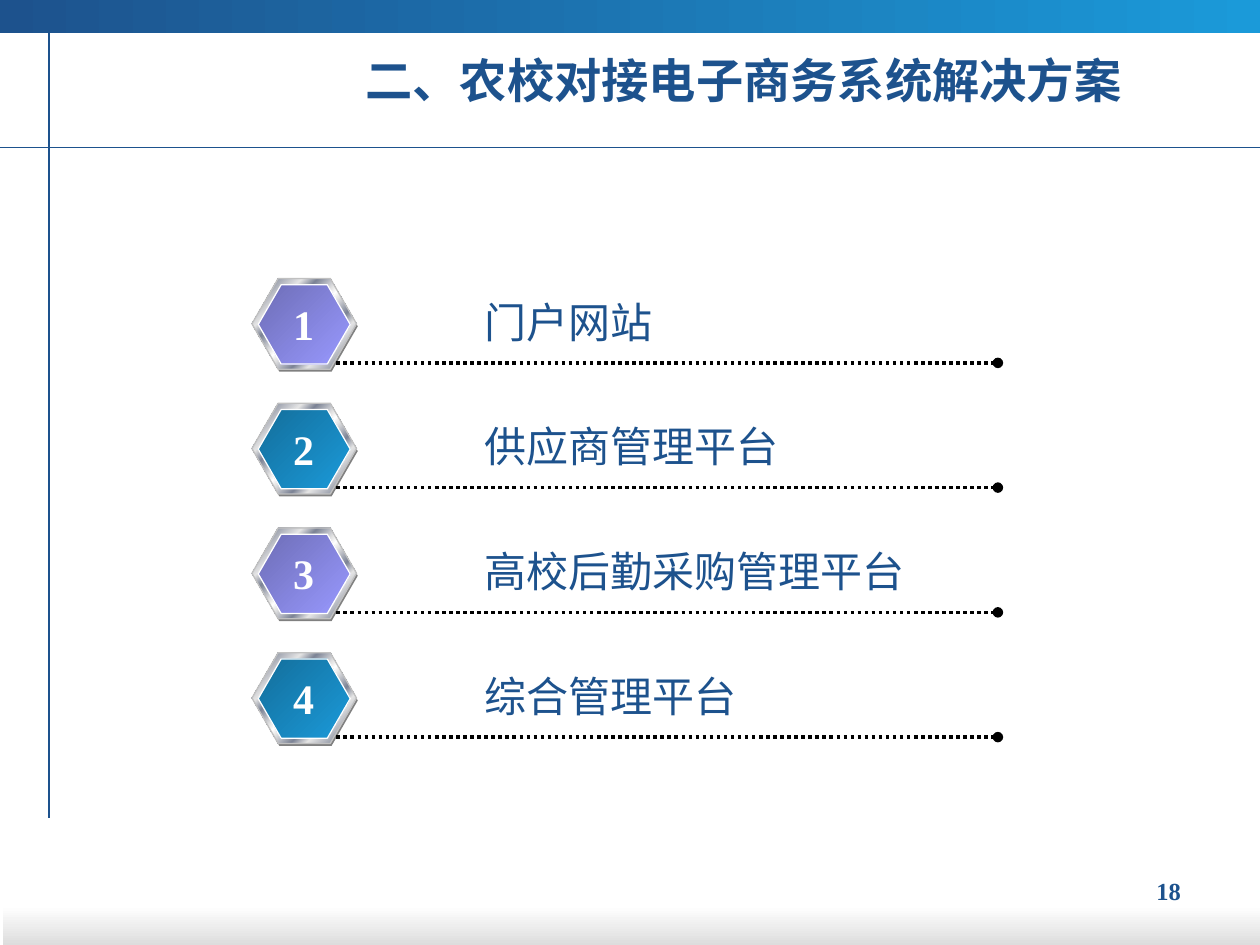
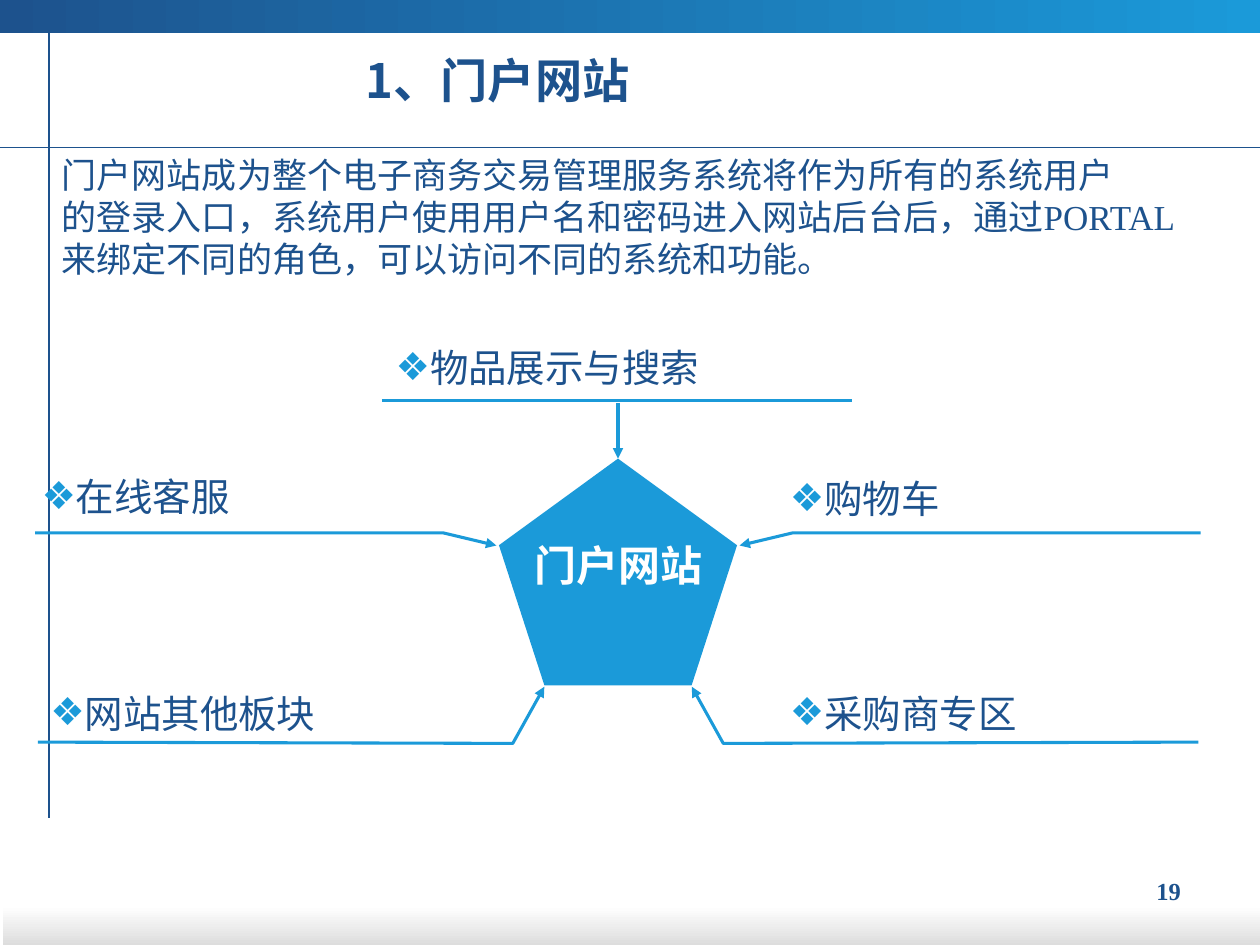
from lxml import etree
from pptx import Presentation
from pptx.dml.color import RGBColor
from pptx.enum.dml import MSO_LINE
from pptx.enum.shapes import MSO_CONNECTOR, MSO_SHAPE
from pptx.enum.text import MSO_ANCHOR, MSO_AUTO_SIZE, PP_ALIGN
from pptx.oxml.ns import qn
from pptx.util import Inches, Pt

COLORS = {
    "navy": "1D528D", "sky": "1B9AD9", "teal": "136E9B",
    "violet": "6D6DB6", "lilac": "9999FF", "white": "FFFFFF",
    "mist": "DDDDDD", "gray": "808080", "silver": "C0C0C0",
    "steel": "7D8496", "pearl": "E6E6E6", "black": "000000",
}
SERIF, SANS, CJK = "Times New Roman", "DejaVu Sans", "Noto Sans CJK SC"
FIRST_NUMBER = 18

# Metallic rim: the first half of the stops is mirrored around the middle
RIM_HALF = [(0, "pearl"), (8, "steel"), (26, "pearl"), (34, "steel"), (46, "pearl")]
RIM = RIM_HALF + [(50, "white")] + [(100 - pos, c) for pos, c in reversed(RIM_HALF)]

PLATFORMS = ["门户网站", "供应商管理平台", "高校后勤采购管理平台", "综合管理平台"]
ROW_TOP, ROW_PITCH = 2.21, 0.99

INTRO = [
    "门户网站成为整个电子商务交易管理服务系统将作为所有的系统用户",
    "的登录入口，系统用户使用用户名和密码进入网站后台后，通过PORTAL",
    "来绑定不同的角色，可以访问不同的系统和功能。",
]
FEATURES = [  # text, left, top, width
    ("物品展示与搜索", 3.14, 2.73, 3.5),
    ("在线客服", 0.33, 3.75, 3.5),
    ("购物车", 6.27, 3.77, 3.24),
    ("网站其他板块", 0.4, 5.47, 3.5),
    ("采购商专区", 6.27, 5.47, 3.24),
]
# Left-hand callouts, from the arrowhead outwards; the right side mirrors them
CALLOUTS = [
    [(3.94, 4.33), (3.52, 4.23), (0.28, 4.23)],
    [(4.32, 5.45), (4.07, 5.9), (0.3, 5.89)],
]
MIRROR_SUM = 9.81


def rgb(color):
    return RGBColor.from_string(COLORS[color])


def box(left, top, width, height):
    return [Inches(v) for v in (left, top, width, height)]


# Text
def style_paragraph(p, size, color, font=SERIF, bold=False, align=PP_ALIGN.LEFT):
    p.alignment = align
    for r in p.runs:
        r.font.size, r.font.bold, r.font.name = Pt(size), bold, font
        r.font.color.rgb = rgb(color)
        latin = r.font._element.find(qn("a:latin"))
        ea = etree.Element(qn("a:ea"), typeface=CJK)
        latin.addnext(ea)


def add_text(shapes, text, place, size, color, inset=True, wrap=False,
             anchor=MSO_ANCHOR.TOP, **style):
    s = shapes.add_textbox(*box(*place))
    tf = s.text_frame
    tf.text = text
    tf.word_wrap = wrap
    tf.vertical_anchor = anchor
    tf.auto_size = MSO_AUTO_SIZE.SHAPE_TO_FIT_TEXT
    if not inset:
        tf.margin_left = tf.margin_right = tf.margin_top = tf.margin_bottom = 0
    style_paragraph(tf.paragraphs[0], size, color, **style)
    return s


def add_bullet(p, char, color):
    pPr = p._p.get_or_add_pPr()
    pPr.set("marL", "0")
    pPr.set("indent", "0")
    bu_clr = etree.SubElement(pPr, qn("a:buClr"))
    etree.SubElement(bu_clr, qn("a:srgbClr"), val=COLORS[color])
    etree.SubElement(pPr, qn("a:buFont"), typeface=SANS)
    etree.SubElement(pPr, qn("a:buChar"), char=char)


# Shapes and lines
def set_gradient(s, stops, angle):
    s.fill.gradient()
    s.fill.gradient_angle = (360 - angle) % 360
    gs_lst = s.element.spPr.find(qn("a:gradFill")).find(qn("a:gsLst"))
    for gs in list(gs_lst):
        gs_lst.remove(gs)
    for pos, color in stops:
        gs = etree.SubElement(gs_lst, qn("a:gs"), pos=str(pos * 1000))
        etree.SubElement(gs, qn("a:srgbClr"), val=COLORS[color])


def add_shape(shapes, kind, place, fill, line=None, angle=0):
    """Fill is a colour name or a list of gradient stops."""
    s = shapes.add_shape(kind, *box(*place))
    s.shadow.inherit = False
    if isinstance(fill, str):
        s.fill.solid()
        s.fill.fore_color.rgb = rgb(fill)
    else:
        set_gradient(s, fill, angle)
    if line:
        s.line.color.rgb = rgb(line)
        s.line.width = Pt(0.75)
    else:
        s.line.fill.background()
    return s


def add_hexagon(shapes, place, fill, line=None):
    s = add_shape(shapes, MSO_SHAPE.HEXAGON, place, fill, line, angle=45)
    s.adjustments[0], s.adjustments[1] = 0.289, 1.155


def set_line(s, color, width, dash=None, end=None, end_type="triangle"):
    """End is "headEnd" (start of the line) or "tailEnd"."""
    s.line.color.rgb = rgb(color)
    s.line.width = Pt(width)
    if dash:
        s.line.dash_style = dash
    if end:
        etree.SubElement(s.line._get_or_add_ln(), qn("a:" + end), type=end_type)


def add_line(shapes, start, finish, color, width, **ends):
    s = shapes.add_connector(MSO_CONNECTOR.STRAIGHT,
                             *[Inches(v) for v in start + finish])
    set_line(s, color, width, **ends)
    etree.SubElement(s.element.spPr, qn("a:effectLst"))
    return s


def add_callout(shapes, points):
    points = [(Inches(x), Inches(y)) for x, y in points]
    builder = shapes.build_freeform(*points[0])
    builder.add_line_segments(points[1:], close=False)
    s = builder.convert_to_shape()
    s.shadow.inherit = False
    s.fill.background()
    set_line(s, "sky", 1.75, end="headEnd")


# Shared slide frame
def add_slide(prs, layout, title):
    slide = prs.slides.add_slide(prs.slide_layouts[layout])
    shapes = slide.shapes
    add_shape(shapes, MSO_SHAPE.RECTANGLE, (0.02, 7.19, 9.98, 0.31),
              [(0, "white"), (100, "mist")], angle=90)
    add_shape(shapes, MSO_SHAPE.RECTANGLE, (0, 0, 10, 0.26),
              [(0, "navy"), (100, "sky")])
    add_line(shapes, (0, 1.17), (10, 1.17), "navy", 0.75)
    add_line(shapes, (0.39, 0.24), (0.39, 6.49), "navy", 0.75)
    number = FIRST_NUMBER + len(prs.slides) - 1
    add_text(shapes, str(number), (8.62, 6.9, 0.85, 0.34), 14, "navy",
             wrap=True, bold=True, align=PP_ALIGN.RIGHT)

    s = shapes.title
    s.left, s.top, s.width, s.height = box(2.8, 0.33, 7.01, 0.58)
    tf = s.text_frame
    tf.text = title
    tf.auto_size = MSO_AUTO_SIZE.NONE
    tf.vertical_anchor = MSO_ANCHOR.BOTTOM
    style_paragraph(tf.paragraphs[0], 27, "navy", font=CJK, bold=True)
    return slide


# Slide parts
def add_platform_row(slide, index, name):
    top = ROW_TOP + index * ROW_PITCH
    face = ("teal", "sky") if index % 2 else ("violet", "lilac")
    shapes = slide.shapes.add_group_shape().shapes
    add_hexagon(shapes, (2.01, top + 0.02, 0.83, 0.72), "gray")
    add_hexagon(shapes, (2, top, 0.83, 0.72), RIM, "silver")
    add_hexagon(shapes, (2.05, top + 0.05, 0.73, 0.63),
                [(0, face[0]), (100, face[1])], "white")
    add_line(shapes, (2.67, top + 0.67), (7.92, top + 0.67), "black", 2,
             dash=MSO_LINE.ROUND_DOT, end="tailEnd", end_type="oval")
    add_text(shapes, name, (3.75, top + 0.09, 0.2 + len(name) / 3, 0.51), 24, "navy")
    add_text(shapes, str(index + 1), (2.22, top + 0.11, 0.38, 0.5), 24, "white",
             bold=True, align=PP_ALIGN.CENTER)


def fill_intro(body):
    body.left, body.top, body.width, body.height = box(0.39, 1.17, 9.11, 1.11)
    tf = body.text_frame
    tf.text = "\n".join(INTRO)
    tf.word_wrap = False
    tf.auto_size = MSO_AUTO_SIZE.SHAPE_TO_FIT_TEXT
    for p in tf.paragraphs:
        pPr = p._p.get_or_add_pPr()
        pPr.set("marL", "0")
        pPr.set("indent", "0")
        etree.SubElement(pPr, qn("a:buNone"))
        p.space_before = Pt(0)
        style_paragraph(p, 20, "navy")


def add_portal_diagram(slide):
    shapes = slide.shapes
    pentagon = add_shape(shapes, MSO_SHAPE.REGULAR_PENTAGON,
                         (3.96, 3.64, 1.89, 1.8), "sky")
    add_text(shapes, "门户网站", (4.11, 4.28, 1.6, 0.4), 24, "white", inset=False,
             wrap=True, anchor=MSO_ANCHOR.MIDDLE, bold=True, align=PP_ALIGN.CENTER)

    for text, left, top, width in FEATURES:
        s = add_text(shapes, text, (left, top, width, 0.37), 22, "navy", inset=False,
                     wrap=True, anchor=MSO_ANCHOR.BOTTOM, font=SANS)
        add_bullet(s.text_frame.paragraphs[0], "❖", "sky")

    for points in CALLOUTS:
        add_callout(shapes, points)
        add_callout(shapes, [(MIRROR_SUM - x, y) for x, y in points])

    # Top callout: underline and arrow to the pentagon's tip
    add_line(shapes, (3.03, 3.18), (6.76, 3.18), "sky", 1.75)
    arrow = add_line(shapes, (MIRROR_SUM / 2, 3.2), (MIRROR_SUM / 2, 3.64),
                     "sky", 1.75, end="tailEnd")
    arrow.end_connect(pentagon, 0)


def main():
    prs = Presentation()
    prs.slide_width, prs.slide_height = Inches(10), Inches(7.5)

    # Overview of the platforms
    slide = add_slide(prs, 5, "二、农校对接电子商务系统解决方案")
    for index, name in enumerate(PLATFORMS):
        add_platform_row(slide, index, name)

    # Portal site and its features
    slide = add_slide(prs, 1, "1、门户网站")
    fill_intro(slide.placeholders[1])
    add_portal_diagram(slide)

    prs.save("out.pptx")


if __name__ == "__main__":
    main()
